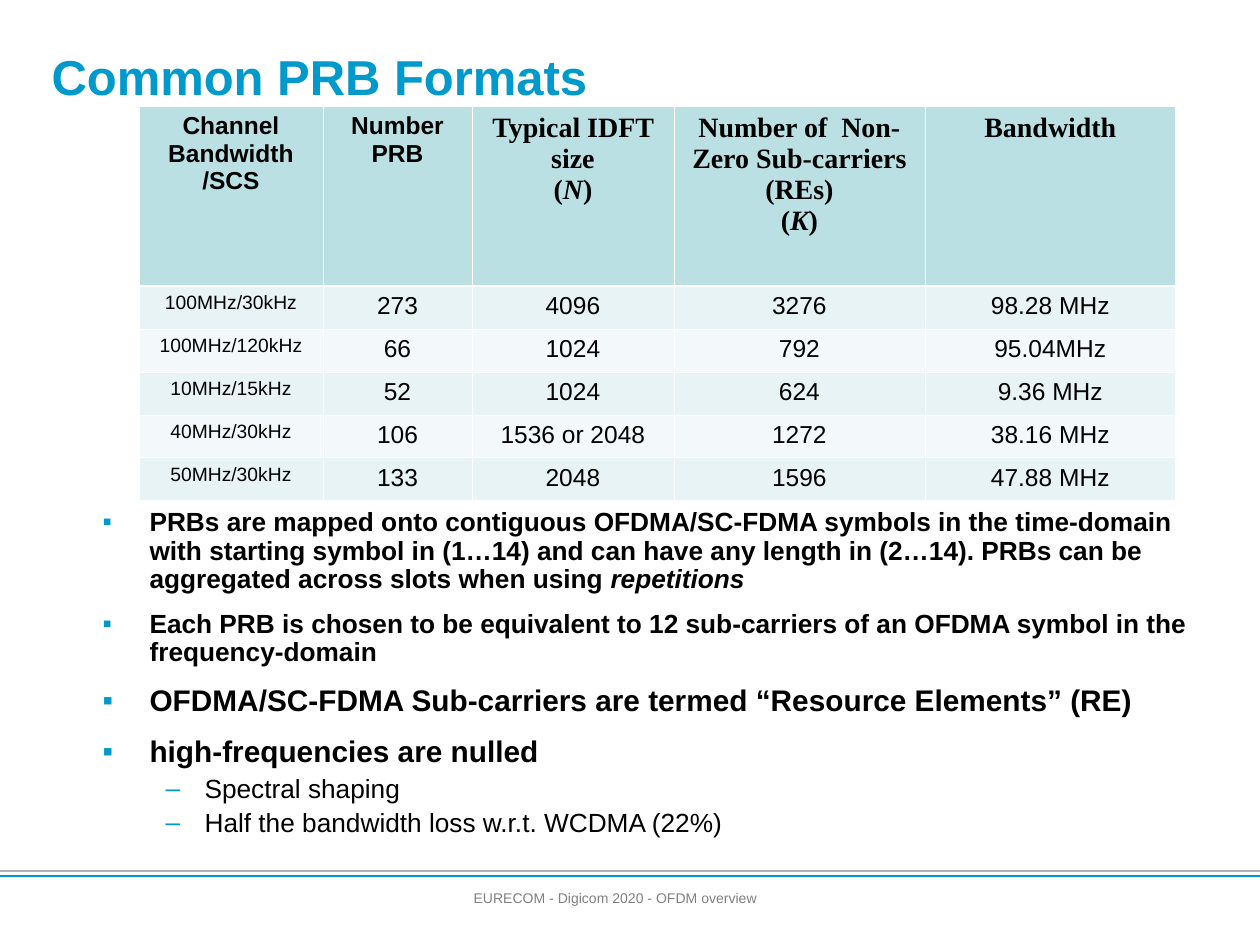
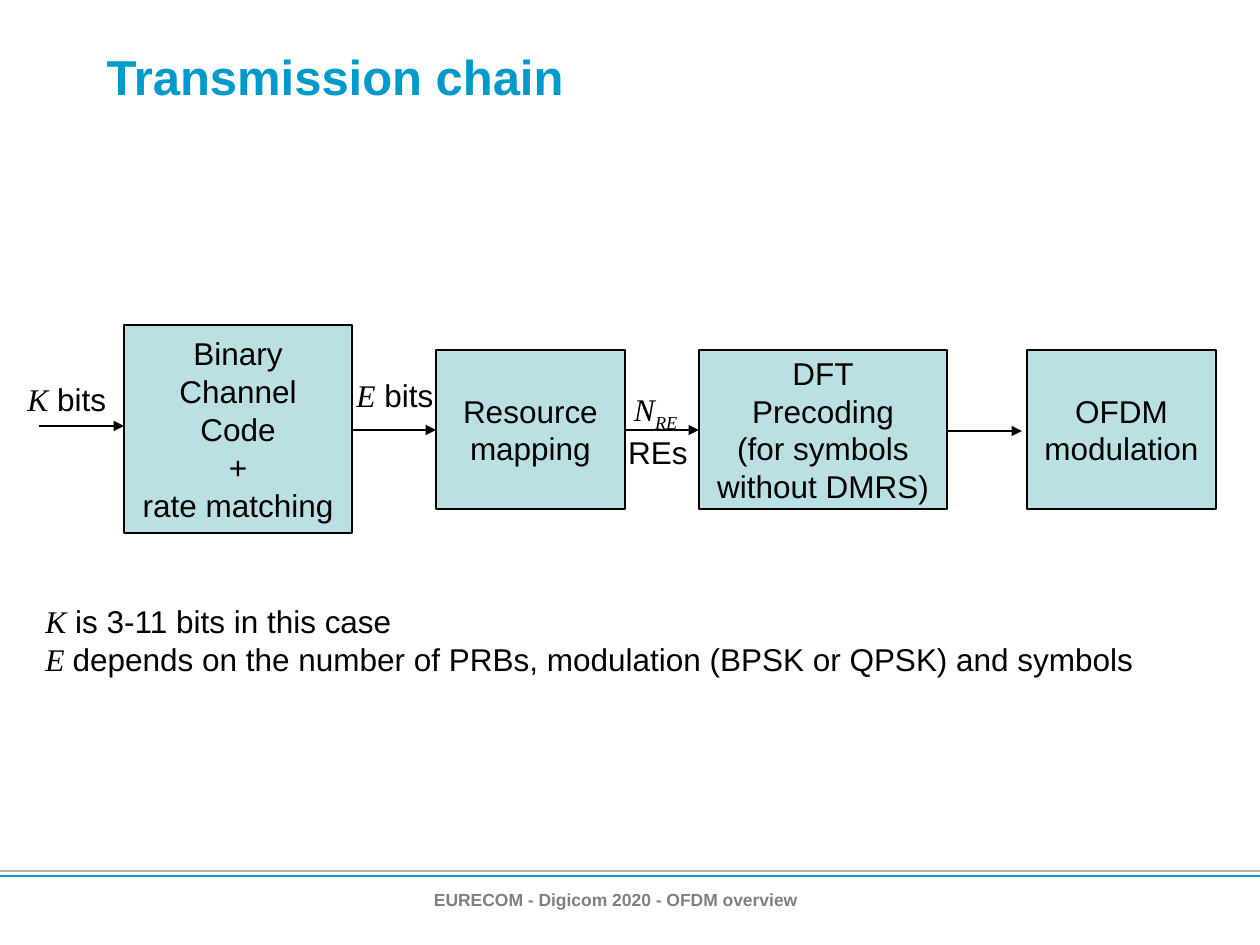
from lxml.etree import SubElement
from pptx import Presentation
from pptx.dml.color import RGBColor
from pptx.enum.shapes import MSO_CONNECTOR, MSO_SHAPE
from pptx.enum.text import MSO_ANCHOR, MSO_AUTO_SIZE, PP_ALIGN
from pptx.oxml import parse_xml
from pptx.oxml.ns import nsdecls, qn
from pptx.util import Inches, Pt

PX = Inches(1) // 126
BLUE, GRAY, TEAL, BLACK = "0099CC", "B2B2B2", "BBE0E3", "000000"
BANDS = ["E7F3F4", "F3F9FA"]
PLAIN = dict(size=18, font="Arial", color=BLACK, bold=False, italic=False, baseline=0)
SYMBOL = dict(font="Times New Roman", italic=True)
SERIF = dict(font="Times New Roman", size=16)
CENTER = PP_ALIGN.CENTER


def paint(fill, color):
    fill.solid()
    fill.fore_color.rgb = RGBColor.from_string(color)


def write(frame, text, align=PP_ALIGN.LEFT, **style):
    para = frame.paragraphs[-1]
    if para.runs:
        para = frame.add_paragraph()
    para.alignment = align
    for words, change in [(text, {})] if isinstance(text, str) else text:
        look = PLAIN | style | change
        span = para.add_run()
        span.text = words
        span.font.size = Pt(look["size"])
        span.font.name = look["font"]
        span.font.bold = look["bold"]
        span.font.italic = look["italic"]
        paint(span.font.fill, look["color"])
        if look["baseline"]:
            span.font._element.set("baseline", str(look["baseline"] * 1000))
    return para


deck = Presentation()
deck.slide_width, deck.slide_height = Inches(10), Inches(7.5)

pages = []
lines = []
for title, left, width, layout, footer_style in [
    ("Common PRB Formats", 39, 1186, 1, dict(size=8)),
    ("Transmission chain", 94, 1132, 5, dict(size=10, bold=True)),
]:
    page = deck.slides.add_slide(deck.slide_layouts[layout])
    pages.append(page)
    heading = page.shapes.title
    heading.left, heading.top = left * PX, 16 * PX
    heading.width, heading.height = width * PX, 120 * PX
    heading.text_frame.auto_size = MSO_AUTO_SIZE.NONE
    heading.text_frame.vertical_anchor = MSO_ANCHOR.MIDDLE
    write(heading.text_frame, title, size=28, color=BLUE, bold=True)
    footer = page.shapes.add_textbox(266 * PX, 883 * PX, 699 * PX, 62 * PX)
    footer.text_frame.word_wrap = True
    write(footer.text_frame, "EURECOM - Digicom 2020 - OFDM overview", CENTER,
          color="808080", **footer_style)
    lines += [(page, 0, 871, 1260, 871, GRAY, 1.5, False),
              (page, 0, 876, 1260, 876, BLUE, 1.5, False)]

formats_page, chain_page = pages

body = formats_page.placeholders[1]
body.left, body.top, body.width, body.height = 90 * PX, 500 * PX, 1131 * PX, 348 * PX
body.text_frame.auto_size = MSO_AUTO_SIZE.NONE
body.text_frame.vertical_anchor = MSO_ANCHOR.MIDDLE
for level, size, space, text in [
    (0, 15, 0, [
        ("PRBs are mapped onto contiguous OFDMA/SC-FDMA symbols in the time-domain "
         "with starting symbol in (1…14) and can have any length in (2…14). "
         "PRBs can be aggregated across slots when using ", {}),
        ("repetitions", dict(italic=True))]),
    (0, 15, 9.4, "Each PRB is chosen to be equivalent to 12 sub-carriers of an OFDMA "
                 "symbol in the frequency-domain"),
    (0, 17, 10.6, "OFDMA/SC-FDMA Sub-carriers are termed “Resource Elements” (RE)"),
    (0, 17, 10.6, "high-frequencies are nulled"),
    (1, 15, 3.7, "Spectral shaping"),
    (1, 15, 3.7, "Half the bandwidth loss w.r.t. WCDMA (22%)"),
]:
    para = write(body.text_frame, text, size=size, bold=level == 0)
    para.level = level
    margin, hanging, bullet = [(47, 47, "▪"), (102, 39, "–")][level]
    properties = para._p.get_or_add_pPr()
    properties.set("marL", str(margin * PX))
    properties.set("indent", str(-hanging * PX))
    bullet_color = SubElement(properties, qn("a:buClr"))
    SubElement(bullet_color, qn("a:srgbClr"), val=BLUE)
    SubElement(properties, qn("a:buChar"), char=bullet)
    para.line_spacing = 0.9
    para.space_before = Pt(space)

headers = [
    (["Channel Bandwidth /SCS"], dict(size=14)),
    (["Number PRB"], dict(size=14)),
    (["Typical IDFT size", [("(", {}), ("N", dict(italic=True)), (")", {})]], SERIF),
    (["Number of  Non-Zero Sub-carriers (REs)",
      [("(", {}), ("K", dict(italic=True)), (")", {})]], SERIF),
    (["Bandwidth"], SERIF),
]
formats = [
    ("100MHz/30kHz", "273", "4096", "3276", "98.28 MHz"),
    ("100MHz/120kHz", "66", "1024", "792", "95.04MHz"),
    ("10MHz/15kHz", "52", "1024", "624", "9.36 MHz"),
    ("40MHz/30kHz", "106", "1536 or 2048", "1272", "38.16 MHz"),
    ("50MHz/30kHz", "133", "2048", "1596", "47.88 MHz"),
]
column_widths = [184, 149, 202, 251, 251]
row_heights = [180] + [43] * len(formats)
table = formats_page.shapes.add_table(
    len(row_heights), len(column_widths), 139 * PX, 106 * PX,
    sum(column_widths) * PX, sum(row_heights) * PX).table
table.first_row = table.horz_banding = False
for column, width in zip(table.columns, column_widths):
    column.width = width * PX
for row, height in zip(table.rows, row_heights):
    row.height = height * PX

for column, (paragraphs, style) in enumerate(headers):
    for text in paragraphs:
        write(table.cell(0, column).text_frame, text, CENTER, bold=True, **style)
for row, values in enumerate(formats, 1):
    for column, value in enumerate(values):
        write(table.cell(row, column).text_frame, value, CENTER,
              size=14 if column else 11)

for row in range(len(row_heights)):
    for column in range(len(column_widths)):
        cell = table.cell(row, column)
        paint(cell.fill, BANDS[(row - 1) % 2] if row else TEAL)
        for place, side in enumerate("LRTB"):
            thick = (row, side) in [(0, "B"), (1, "T")]
            cell._tc.get_or_add_tcPr().insert(place, parse_xml(
                f'<a:ln{side} {nsdecls("a")} w="{Pt(1.47 if thick else 0.45)}">'
                f'<a:solidFill><a:srgbClr val="FFFFFF"/></a:solidFill></a:ln{side}>'))

for left, top, width, height, labels in [
    (124, 325, 228, 208, ["Binary", "Channel", "Code", "+", "rate matching"]),
    (436, 350, 189, 159, ["Resource", "mapping"]),
    (699, 350, 248, 159, ["DFT", "Precoding", "(for symbols", "without DMRS)"]),
    (1027, 350, 189, 159, ["OFDM", "modulation"]),
]:
    box = chain_page.shapes.add_shape(
        MSO_SHAPE.RECTANGLE, left * PX, top * PX, width * PX, height * PX)
    box.shadow.inherit = False
    paint(box.fill, TEAL)
    paint(box.line.fill, BLACK)
    box.line.width = Pt(0.75)
    box.text_frame.word_wrap = False
    box.text_frame.vertical_anchor = MSO_ANCHOR.MIDDLE
    for label in labels:
        write(box.text_frame, label, CENTER)

for left, top, width, height, align, paragraphs in [
    (15, 374, 116, 50, PP_ALIGN.LEFT, [[("K", SYMBOL), (" bits", {})]]),
    (344, 370, 116, 50, PP_ALIGN.LEFT, [[("E", SYMBOL), (" bits", {})]]),
    (33, 596, 1130, 88, PP_ALIGN.LEFT, [
        [("K", SYMBOL), (" is 3-11 bits in this case", {})],
        [("E ", SYMBOL),
         ("depends on the number of PRBs, modulation (BPSK or QPSK) and symbols", {})]]),
    (608, 384, 100, 93, CENTER, [
        [("N", SYMBOL), ("RE ", SYMBOL | dict(baseline=-25))], "REs"]),
]:
    note = chain_page.shapes.add_textbox(left * PX, top * PX, width * PX, height * PX)
    note.text_frame.word_wrap = True
    note.text_frame.auto_size = MSO_AUTO_SIZE.NONE
    for text in paragraphs:
        write(note.text_frame, text, align)

for start, end, y in [(39, 124, 426), (352, 436, 430), (625, 699, 430), (947, 1022, 431)]:
    lines.append((chain_page, start, y, end, y, BLACK, 0.75, True))

for page, x1, y1, x2, y2, color, weight, arrow in lines:
    connector = page.shapes.add_connector(
        MSO_CONNECTOR.STRAIGHT, x1 * PX, y1 * PX, x2 * PX, y2 * PX)
    paint(connector.line.fill, color)
    connector.line.width = Pt(weight)
    if arrow:
        SubElement(connector.line._get_or_add_ln(), qn("a:tailEnd"), type="triangle")
    SubElement(connector._element.spPr, qn("a:effectLst"))

deck.save("out.pptx")
